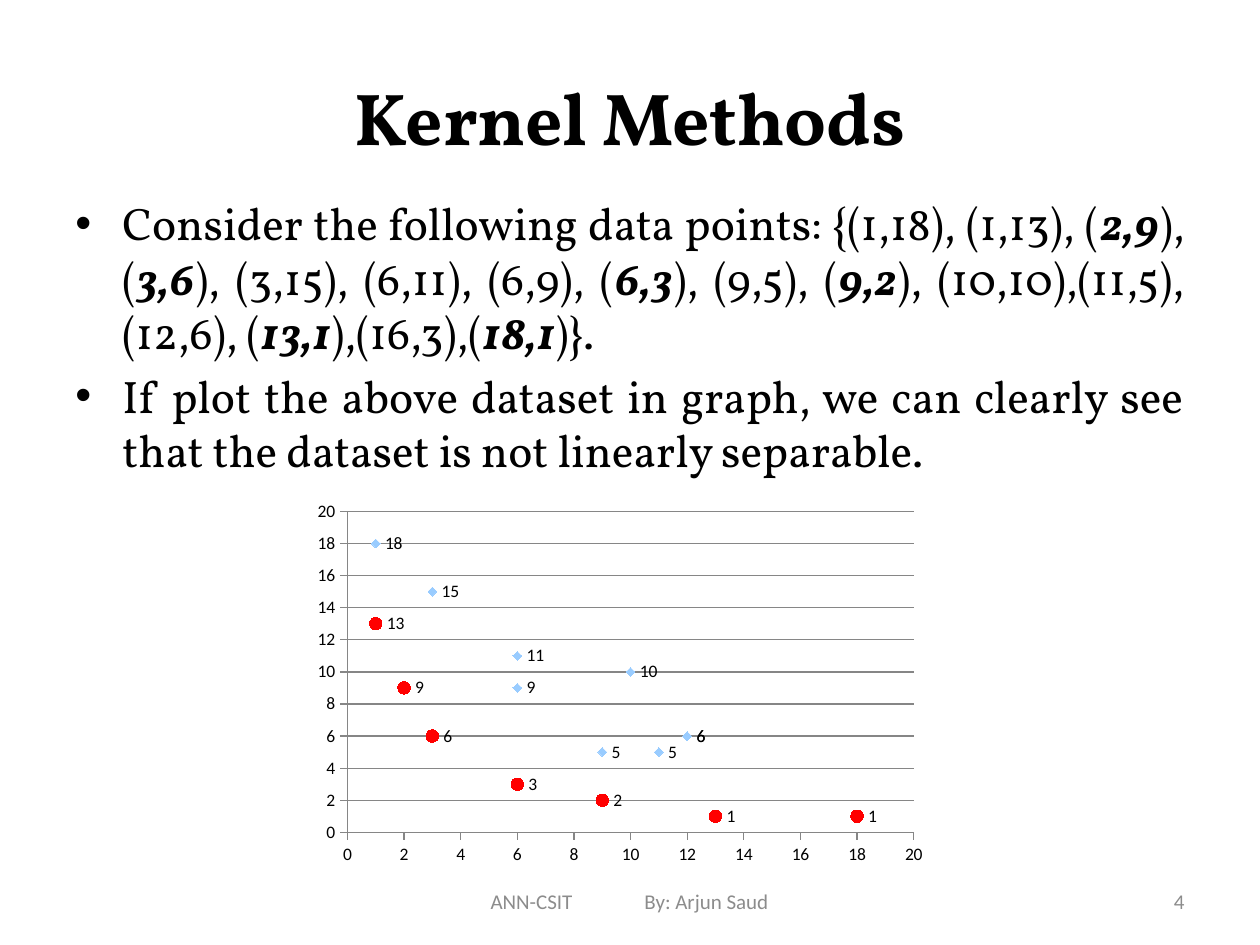
"""Build the Kernel Methods slide with its scatter chart of two classes."""
from dataclasses import dataclass
from lxml.etree import SubElement
from pptx import Presentation
from pptx.chart.data import XyChartData
from pptx.dml.color import RGBColor as Rgb
from pptx.enum.chart import XL_CHART_TYPE as Kind, XL_LABEL_POSITION as Spot
from pptx.enum.chart import XL_MARKER_STYLE as Mark, XL_TICK_MARK as Tick
from pptx.enum.text import MSO_ANCHOR as Anchor, PP_ALIGN as Align
from pptx.oxml.ns import qn
from pptx.util import Cm, Pt

TITLE = "Kernel Methods"
BODY = [
    "Consider the following data points: {(1,18), (1,13), (*2,9*), (*3,6*), "
    "(3,15), (6,11), (6,9), (*6,3*), (9,5), (*9,2*), (10,10),(11,5),(12,6), "
    "(*13,1*),(16,3),(*18,1*)}. ",
    "If plot the above dataset in graph, we can clearly see that the dataset "
    "is not linearly separable.",
]
FOOT = "ANN-CSIT\tBy: Arjun Saud"
PAGE = "4"
DATA = [(1, 18), (1, 13), (2, 9), (3, 6), (3, 15), (6, 11), (6, 9), (6, 3),
        (9, 5), (9, 2), (10, 10), (11, 5), (12, 6), (13, 1), (12, 6), (18, 1)]
REDS = {(1, 13), (2, 9), (3, 6), (6, 3), (9, 2), (13, 1), (18, 1)}
BOX = {
    "title": (1.27, 0.76, 22.86, 3.18),
    "body": (1.27, 3.81, 22.86, 13.97),
    "chart": (6.15, 9.96, 12.7, 7.62),
    "foot": (8.69, 17.65, 8.05, 1.02),
    "page": (18.21, 17.65, 5.92, 1.02),
}


@dataclass(frozen=True)
class Theme:
    """Hold the fonts, sizes and colours."""
    serif: str = "Vollkorn"
    sans: str = "Calibri"
    ink: Rgb = Rgb(0, 0, 0)
    mute: Rgb = Rgb(0x8C, 0x8C, 0x8C)
    grid: Rgb = Rgb(0x86, 0x86, 0x86)
    blue: Rgb = Rgb(0x99, 0xCC, 0xFF)
    red: Rgb = Rgb(0xFF, 0, 0)
    head: Pt = Pt(42)
    main: Pt = Pt(26)
    gap: Pt = Pt(5.2)
    note: Pt = Pt(12)
    tick: Pt = Pt(10)


LOOK = Theme()


def put(obj, **vals):
    """Set each named value on the object."""
    for key, val in vals.items():
        setattr(obj, key, val)


def area(name):
    """Return the place of a part."""
    return [Cm(n) for n in BOX[name]]


def ink(font, name, size, tint, **more):
    """Format a font."""
    put(font, name=name, size=size, **more)
    font.color.rgb = tint


def add_box(slide, name, anchor):
    """Add a wrapping text box."""
    frame = slide.shapes.add_textbox(*area(name)).text_frame
    put(frame, word_wrap=True, vertical_anchor=anchor)
    return frame


def add_title(slide):
    """Fill the title placeholder."""
    shape = slide.shapes.title
    put(shape, **dict(zip(("left", "top", "width", "height"), area("title"))))
    frame = shape.text_frame
    put(frame, text=TITLE, vertical_anchor=Anchor.MIDDLE)
    para = frame.paragraphs[0]
    para.alignment = Align.CENTER
    ink(para.runs[0].font, LOOK.serif, LOOK.head, LOOK.ink, bold=True)


def add_body(slide):
    """Add the bullets, with starred parts in bold italics."""
    frame = add_box(slide, "body", Anchor.TOP)
    for num, text in enumerate(BODY):
        para = frame.add_paragraph() if num else frame.paragraphs[0]
        put(para, alignment=Align.JUSTIFY, space_before=LOOK.gap)
        prop = para._p.get_or_add_pPr()
        prop.set("marL", str(Cm(0.95)))
        prop.set("indent", str(Cm(-0.95)))
        SubElement(prop, qn("a:buFont"), typeface="Arial")
        SubElement(prop, qn("a:buChar"), char="•")
        for part, bit in enumerate(text.split("*")):
            run = para.add_run()
            run.text = bit
            bold = part % 2 == 1
            ink(run.font, LOOK.serif, LOOK.main, LOOK.ink, bold=bold, italic=bold)


def add_note(slide, name, text, align):
    """Add a line at the foot of the slide."""
    frame = add_box(slide, name, Anchor.MIDDLE)
    para = frame.paragraphs[0]
    para.alignment = align
    run = para.add_run()
    run.text = text
    ink(run.font, LOOK.sans, LOOK.note, LOOK.mute)
    return frame


def add_foot(slide):
    """Add the footer, with a tab stop between its parts."""
    frame = add_note(slide, "foot", FOOT, Align.LEFT)
    frame.margin_left = Cm(1.2)
    tabs = SubElement(frame.paragraphs[0]._p.get_or_add_pPr(), qn("a:tabLst"))
    SubElement(tabs, qn("a:tab"), pos=str(Cm(3.1)), algn="l")


def paint(mark, style, size, tint):
    """Format a marker."""
    put(mark, style=style, size=size)
    for part in (mark.format.fill, mark.format.line.fill):
        part.solid()
        part.fore_color.rgb = tint


def add_chart(slide):
    """Add the scatter chart, with one class in red."""
    data = XyChartData()
    row = data.add_series("Series 1")
    for x, y in DATA:
        row.add_data_point(x, y)
    chart = slide.shapes.add_chart(Kind.XY_SCATTER, *area("chart"), data).chart
    put(chart, has_legend=False, has_title=False)
    ink(chart.font, LOOK.sans, LOOK.tick, LOOK.ink)
    plot = chart.plots[0]
    plot.vary_by_categories = False
    line = plot.series[0]
    line.smooth = False
    line.format.line.fill.background()
    paint(line.marker, Mark.DIAMOND, 5, LOOK.blue)
    for num, pair in enumerate(DATA):
        point = line.points[num]
        point.data_label.position = Spot.RIGHT
        if pair in REDS:
            paint(point.marker, Mark.CIRCLE, 7, LOOK.red)
    for axis, grid in ((chart.category_axis, False), (chart.value_axis, True)):
        put(axis, minimum_scale=0, maximum_scale=20, major_unit=2,
            major_tick_mark=Tick.OUTSIDE, minor_tick_mark=Tick.NONE,
            has_major_gridlines=grid)
        axis.format.line.color.rgb = LOOK.grid
    chart.value_axis.major_gridlines.format.line.color.rgb = LOOK.grid


def main():
    """Build and save the slide."""
    deck = Presentation()
    put(deck, slide_width=Cm(25.4), slide_height=Cm(19.05))
    slide = deck.slides.add_slide(deck.slide_layouts[5])
    add_title(slide)
    add_body(slide)
    add_note(slide, "page", PAGE, Align.RIGHT)
    add_foot(slide)
    add_chart(slide)
    deck.save("out.pptx")


if __name__ == "__main__":
    main()
